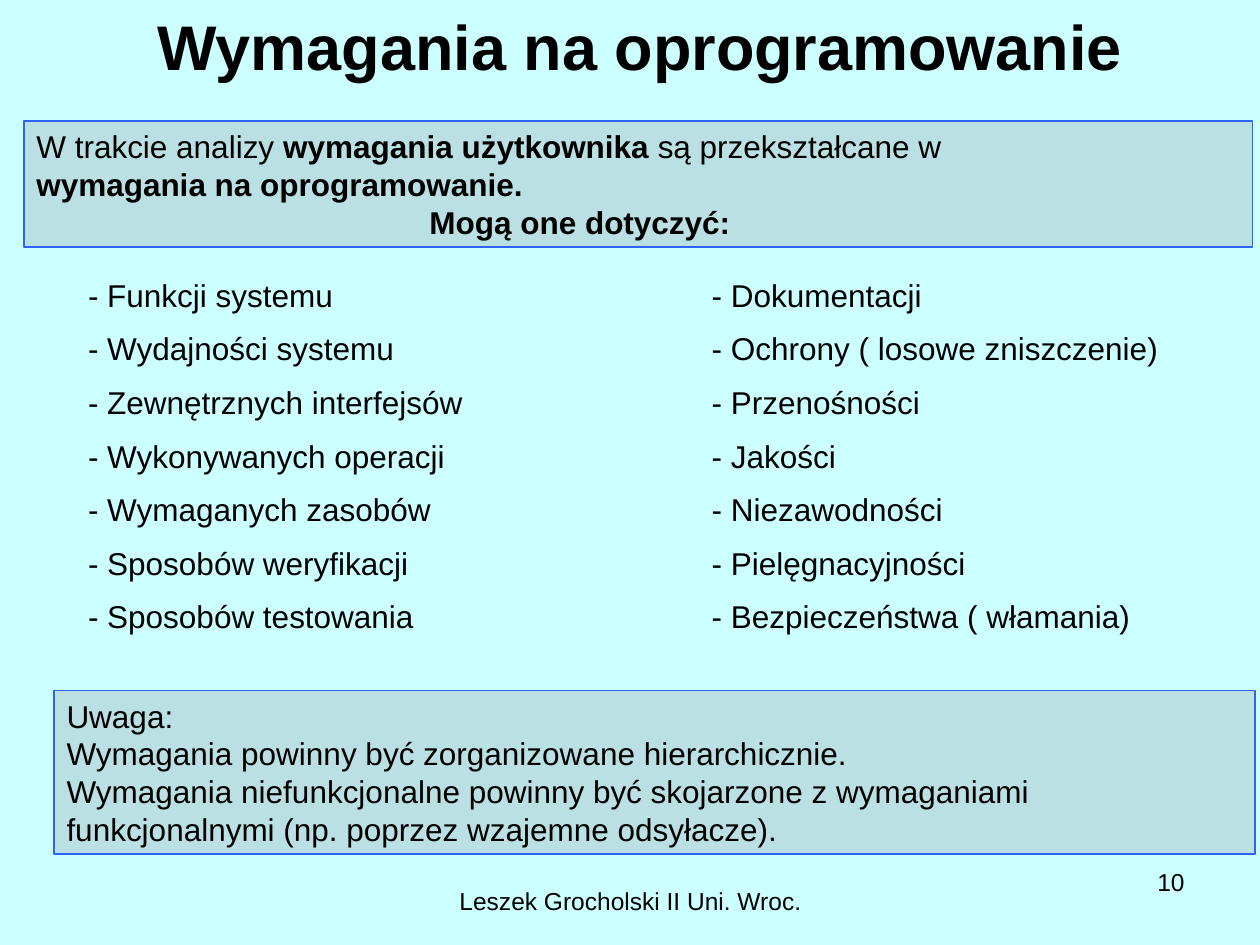
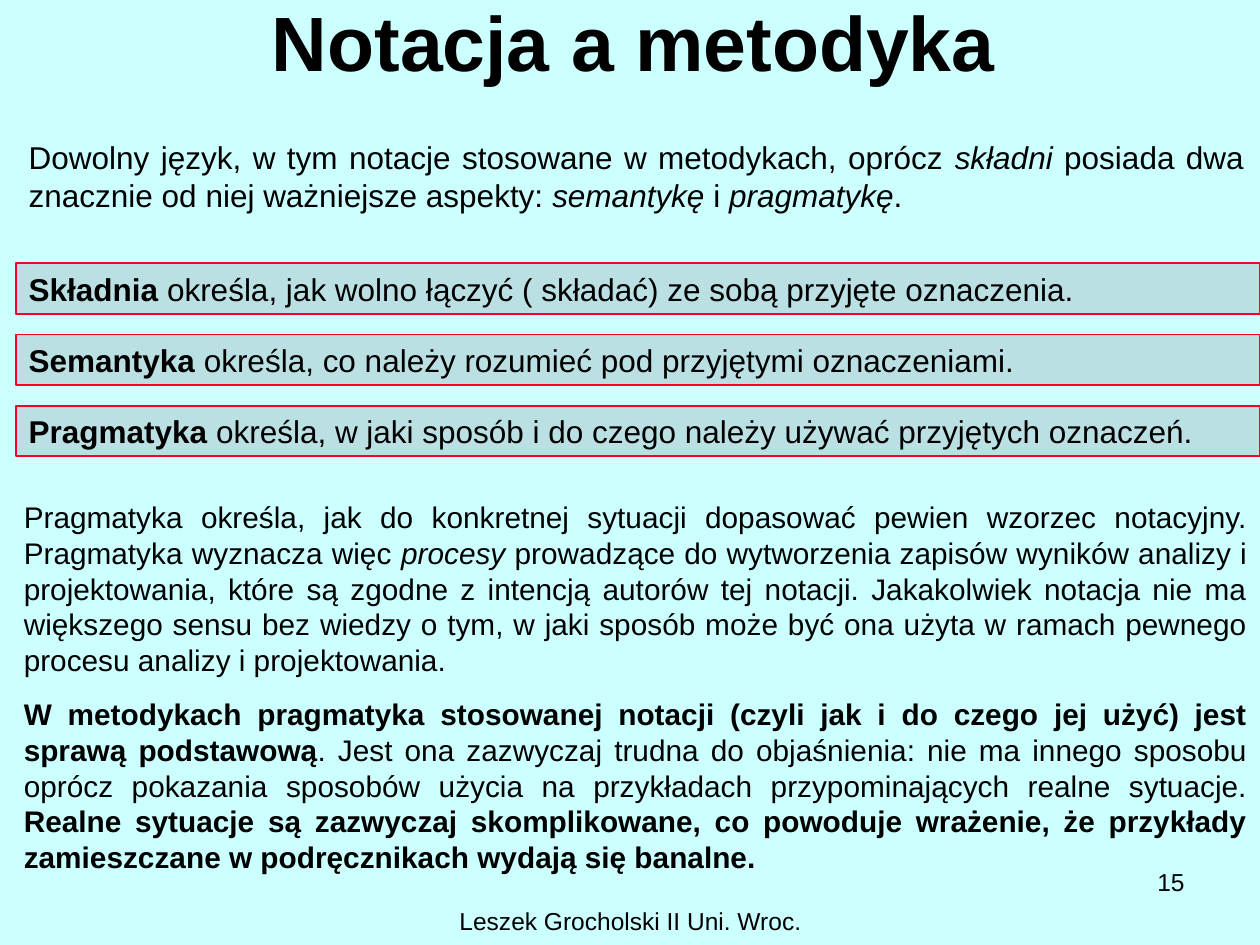
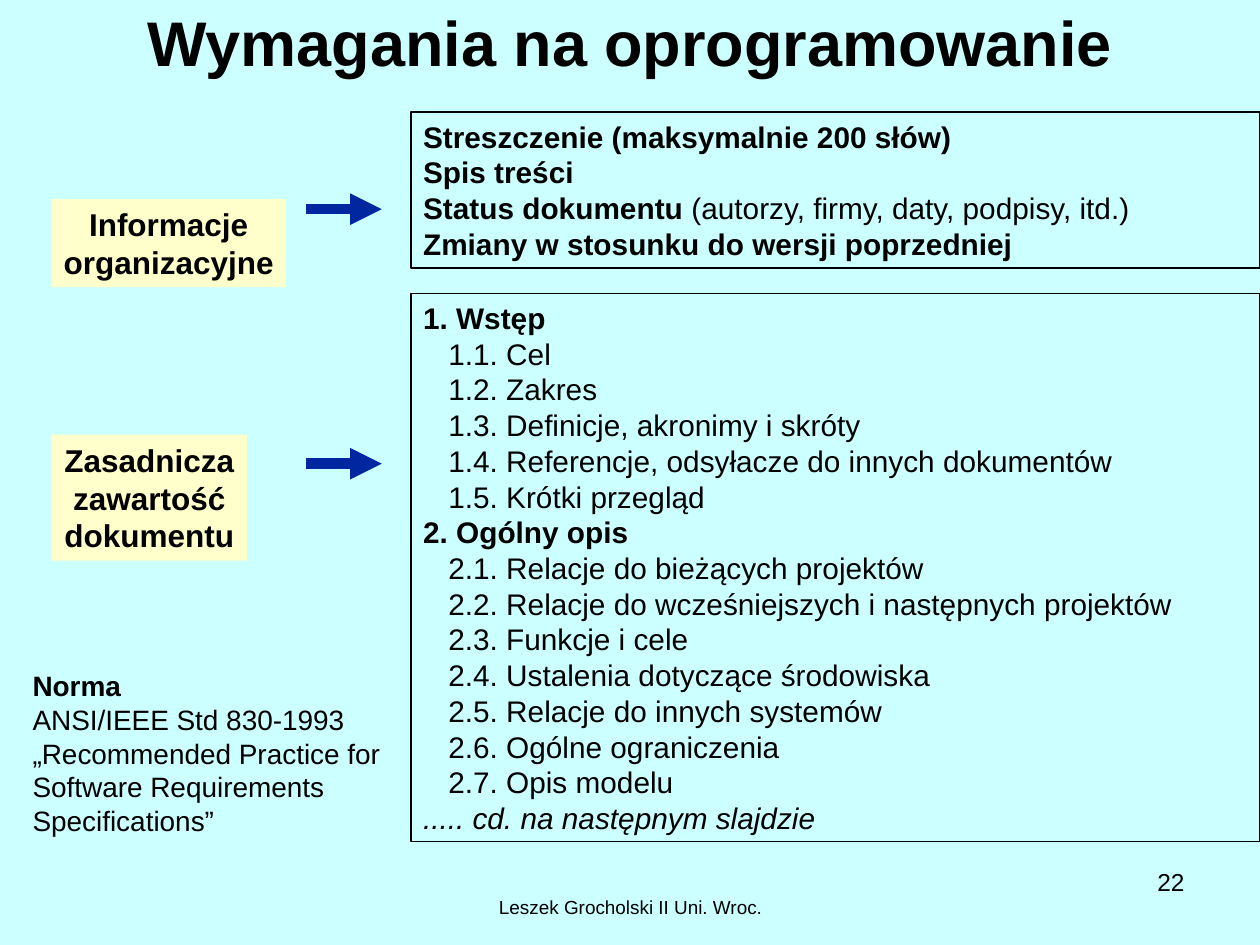
"""Build three lecture slides on software requirements, notation and methodology."""
from lxml import etree
from pptx import Presentation
from pptx.dml.color import RGBColor
from pptx.enum.shapes import MSO_CONNECTOR, MSO_SHAPE
from pptx.enum.text import MSO_ANCHOR, PP_ALIGN
from pptx.oxml.ns import qn
from pptx.util import Inches, Pt

PALE_CYAN = RGBColor(0xCC, 0xFF, 0xFF)
TEAL = RGBColor(0xBB, 0xE0, 0xE3)
CREAM = RGBColor(0xFF, 0xFF, 0xCC)
BLUE = RGBColor(0x2F, 0x61, 0xFF)
RED = RGBColor(0xFC, 0x01, 0x28)
NAVY = RGBColor(0x00, 0x27, 0x9F)
BLACK = RGBColor(0, 0, 0)
FONT = "Arial"
AUTHOR = "Leszek Grocholski II Uni. Wroc."


def add_text(slide, place, lines, size=18, align=PP_ALIGN.LEFT, after=0,
             fill=None, border=None, wrap=True, anchor=MSO_ANCHOR.TOP):
    """Add text where *...* is bold and _..._ is italic, in a box if filled."""
    place = [Inches(length) for length in place]
    if fill is None:
        shape = slide.shapes.add_textbox(*place)
    else:
        shape = slide.shapes.add_shape(MSO_SHAPE.RECTANGLE, *place)
        shape.shadow.inherit = False
        shape.fill.solid()
        shape.fill.fore_color.rgb = fill
        if border is None:
            shape.line.fill.background()
        else:
            shape.line.color.rgb = border
            shape.line.width = Pt(1)
    frame = shape.text_frame
    frame.word_wrap = wrap
    frame.vertical_anchor = anchor
    for number, line in enumerate(lines):
        paragraph = frame.add_paragraph() if number else frame.paragraphs[0]
        paragraph.alignment = align
        paragraph.space_after = Pt(after)
        for i, strong_part in enumerate(line.split("*")):
            for j, part in enumerate(strong_part.split("_")):
                if part:
                    run = paragraph.add_run()
                    run.text = part
                    run.font.name = FONT
                    run.font.size = Pt(size)
                    run.font.color.rgb = BLACK
                    run.font.bold = i % 2 == 1
                    run.font.italic = j % 2 == 1
    return shape


def indent(paragraph, width):
    """Set the left margin of a paragraph in inches."""
    properties = paragraph._p.get_or_add_pPr()
    properties.set("marL", str(Inches(width)))
    properties.set("indent", "0")


prs = Presentation()
prs.slide_width = Inches(10)
prs.slide_height = Inches(7.5)

pages = [
    ("Wymagania na oprogramowanie", 36, (0.59, -0.02, 8.98, 0.76), "10", 6.98, 14),
    ("Notacja a metodyka", 44, (0.53, 0.13, 9, 0.38), "15", 7.14, 14),
    ("Wymagania na oprogramowanie", 36, (0.5, 0.17, 9, 0.31), "22", 7.06, 10.8),
]
slides = []
for title, title_size, title_place, page_number, footer_top, footer_size in pages:
    slide = prs.slides.add_slide(prs.slide_layouts[6])
    slide.background.fill.solid()
    slide.background.fill.fore_color.rgb = PALE_CYAN
    add_text(slide, (3.42, footer_top, 3.17, 0.36), [AUTHOR], footer_size, PP_ALIGN.CENTER)
    add_text(slide, (7.17, 6.83, 2.33, 0.52), [page_number], 14, PP_ALIGN.RIGHT)
    add_text(slide, title_place, [f"*{title}*"], title_size, PP_ALIGN.CENTER,
             anchor=MSO_ANCHOR.MIDDLE)
    slides.append(slide)
requirements, notation, document = slides

intro = add_text(requirements, (0.19, 0.96, 9.75, 1), [
    "W trakcie analizy *wymagania użytkownika* są przekształcane w",
    "*wymagania na oprogramowanie.*",
    "*Mogą one dotyczyć:*",
], fill=TEAL, border=BLUE)
indent(intro.text_frame.paragraphs[2], 3.12)

add_text(requirements, (0.6, 2.14, 3.17, 2.95), [
    "- Funkcji systemu",
    "- Wydajności systemu",
    "- Zewnętrznych interfejsów",
    "- Wykonywanych operacji",
    "- Wymaganych zasobów",
    "- Sposobów weryfikacji",
    "- Sposobów testowania",
], after=9, wrap=False)
add_text(requirements, (5.55, 2.14, 4.02, 2.95), [
    "- Dokumentacji",
    "- Ochrony ( losowe zniszczenie)",
    "- Przenośności",
    "- Jakości",
    "- Niezawodności",
    "- Pielęgnacyjności",
    "- Bezpieczeństwa ( włamania)",
], after=9)
add_text(requirements, (0.43, 5.48, 9.53, 1.3), [
    "Uwaga:",
    "Wymagania powinny być zorganizowane hierarchicznie.",
    "Wymagania niefunkcjonalne powinny być skojarzone z wymaganiami "
    "funkcjonalnymi (np. poprzez wzajemne odsyłacze).",
], fill=TEAL, border=BLUE)

add_text(notation, (0.13, 1.05, 9.84, 0.7), [
    "Dowolny język, w tym notacje stosowane w metodykach, oprócz _składni_ posiada dwa "
    "znacznie od niej ważniejsze aspekty: _semantykę_ i _pragmatykę_.",
], align=PP_ALIGN.JUSTIFY)
definitions = [
    "*Składnia* określa, jak wolno łączyć ( składać) ze sobą przyjęte oznaczenia.",
    "*Semantyka* określa, co należy rozumieć pod przyjętymi oznaczeniami.",
    "*Pragmatyka* określa, w jaki sposób i do czego należy używać przyjętych oznaczeń.",
]
for row, definition in enumerate(definitions):
    add_text(notation, (0.13, 2.09 + row * 0.565, 9.87, 0.4), [definition],
             fill=TEAL, border=RED)
add_text(notation, (0.09, 3.91, 9.91, 3.09), [
    "Pragmatyka określa, jak do konkretnej sytuacji dopasować pewien wzorzec notacyjny. "
    "Pragmatyka wyznacza więc _procesy_ prowadzące do wytworzenia zapisów wyników analizy "
    "i projektowania, które są zgodne z intencją autorów tej notacji. Jakakolwiek notacja "
    "nie ma większego sensu bez wiedzy o tym, w jaki sposób może być ona użyta w ramach "
    "pewnego procesu analizy i projektowania.",
    "*W metodykach pragmatyka stosowanej notacji (czyli jak i do czego jej użyć) jest "
    "sprawą podstawową*. Jest ona zazwyczaj trudna do objaśnienia: nie ma innego sposobu "
    "oprócz pokazania sposobów użycia na przykładach przypominających realne sytuacje. "
    "*Realne sytuacje są zazwyczaj skomplikowane, co powoduje wrażenie, że przykłady "
    "zamieszczane w podręcznikach wydają się banalne.*",
], 17, PP_ALIGN.JUSTIFY, after=10.6)

add_text(document, (3.26, 0.89, 6.74, 1.24), [
    "*Streszczenie (maksymalnie 200 słów)*",
    "*Spis treści*",
    "*Status dokumentu* (autorzy, firmy, daty, podpisy, itd.)",
    "*Zmiany w stosunku do wersji poprzedniej*",
], 17, fill=PALE_CYAN, border=BLACK)
contents = add_text(document, (3.26, 2.33, 6.74, 4.35), [
    "*1. Wstęp*",
    "1.1. Cel",
    "1.2. Zakres",
    "1.3. Definicje, akronimy i skróty",
    "1.4. Referencje, odsyłacze do innych dokumentów",
    "1.5. Krótki przegląd",
    "*2. Ogólny opis*",
    "2.1. Relacje do bieżących projektów",
    "2.2. Relacje do wcześniejszych i następnych projektów",
    "2.3. Funkcje i cele",
    "2.4. Ustalenia dotyczące środowiska",
    "2.5. Relacje do innych systemów",
    "2.6. Ogólne ograniczenia",
    "2.7. Opis modelu",
    "_..... cd. na następnym slajdzie_",
], 17, fill=PALE_CYAN, border=BLACK)
for entry in contents.text_frame.paragraphs:
    if entry.text[2].isdigit():
        indent(entry, 0.2)

sections = [
    ((0.41, 1.58, 1.86, 0.7), ["*Informacje*", "*organizacyjne*"], 1.66),
    ((0.41, 3.45, 1.55, 1), ["*Zasadnicza*", "*zawartość*", "*dokumentu*"], 3.68),
]
for place, label, arrow_y in sections:
    add_text(document, place, label, align=PP_ALIGN.CENTER, fill=CREAM, wrap=False)
    arrow = document.shapes.add_connector(
        MSO_CONNECTOR.STRAIGHT, Inches(2.43), Inches(arrow_y), Inches(3.03), Inches(arrow_y))
    arrow.line.color.rgb = NAVY
    arrow.line.width = Pt(6)
    etree.SubElement(arrow.line._get_or_add_ln(), qn("a:tailEnd"), type="triangle")
    etree.SubElement(arrow._element.spPr, qn("a:effectLst"))

add_text(document, (0.16, 5.26, 3.01, 1.44), [
    "*Norma*",
    "ANSI/IEEE Std 830-1993",
    "„Recommended Practice for Software Requirements Specifications”",
], 16)

prs.save("out.pptx")
